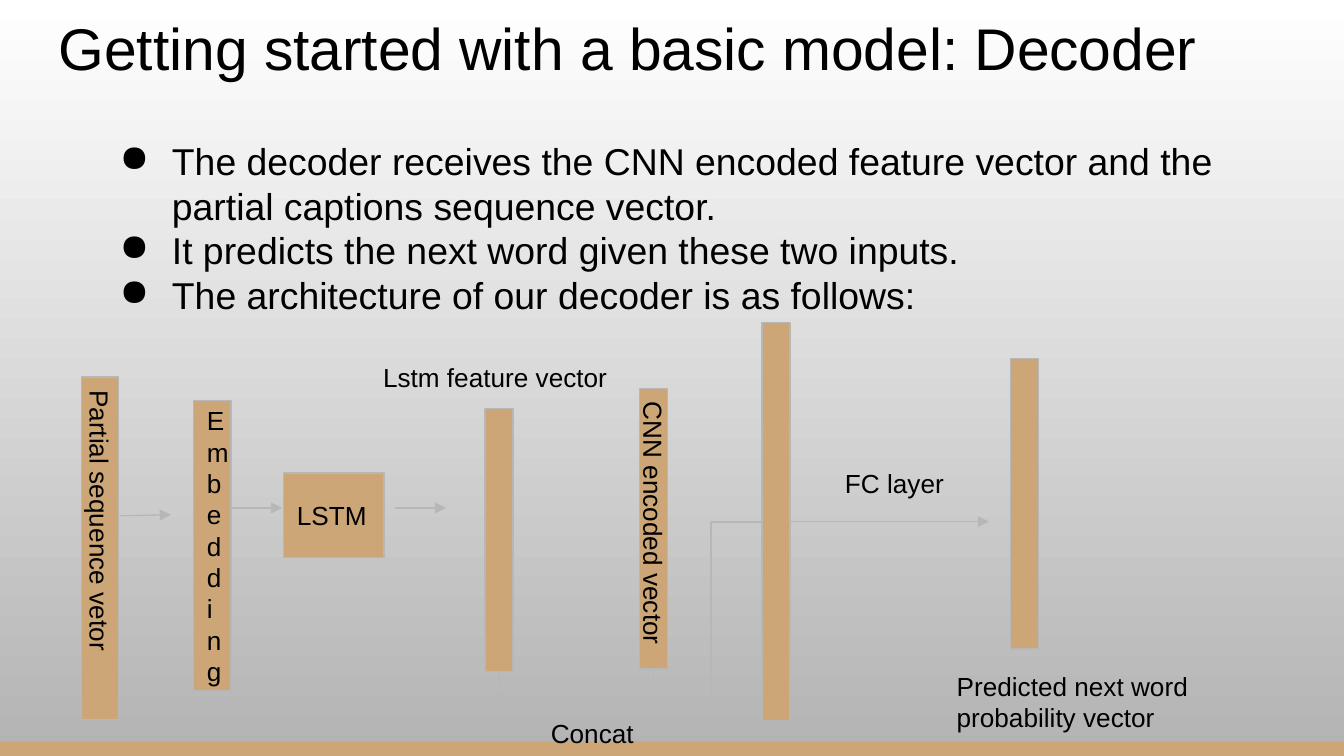
from dataclasses import dataclass
from typing import Optional

from lxml.etree import SubElement
from pptx import Presentation
from pptx.dml.color import RGBColor
from pptx.enum.shapes import MSO_CONNECTOR, MSO_SHAPE
from pptx.enum.text import MSO_ANCHOR, PP_ALIGN
from pptx.oxml.ns import qn
from pptx.util import Cm, Pt

TAN = "CCA677"
GRAY = "B7B7B7"
BLACK = "000000"
BODY_SIZE = 14
BAR_WIDTH = 0.53


@dataclass
class Block:
    left: float
    top: float
    width: float
    height: float
    text: str = ""
    rotation: int = 0
    outlined: bool = True


@dataclass
class Label:
    left: float
    top: float
    width: float
    height: float
    text: str
    size: float = BODY_SIZE
    anchor: MSO_ANCHOR = MSO_ANCHOR.TOP
    bulleted: bool = False


@dataclass
class Arrow:
    start: tuple[float, float]
    end: tuple[float, float]
    source: Optional[str] = None
    side: int = 0


FOOTER = Block(0, 14.02, 25.4, 0.27, outlined=False)
BLOCKS = {
    "encoded": Block(9.7, 9.73, 5.31, BAR_WIDTH, "CNN encoded vector", 90),
    "lstm": Block(5.36, 8.94, 1.9, 1.6, "LSTM"),
    "sequence": Block(-1.35, 10.01, 6.48, 0.71, "Partial sequence vetor", 90),
    "embedding": Block(3.66, 7.57, 0.71, 5.49, "Embedding"),
    "feature": Block(9.17, 7.72, BAR_WIDTH, 4.98),
    "concatenated": Block(14.4, 6.1, BAR_WIDTH, 7.52),
    "predicted": Block(19.1, 6.78, BAR_WIDTH, 5.49),
}
ARROWS = [
    Arrow((2.26, 9.75), (3.23, 9.73)),
    Arrow((4.37, 9.6), (5.33, 9.6)),
    Arrow((7.47, 9.6), (8.43, 9.6)),
    Arrow((9.43, 12.7), (9.5, 13.31), "feature", 2),
    Arrow((9.53, 13.36), (13.46, 13.31)),
    Arrow((12.35, 12.65), (12.35, 13.36), "encoded", 3),
    Arrow((14.93, 9.86), (18.69, 9.86), "concatenated", 3),
]
BULLETS = "\n".join([
    "The decoder receives the CNN encoded feature vector and the partial captions sequence vector.",
    "It predicts the next word given these two inputs.",
    "The architecture of our decoder is as follows:",
])
LABELS = [
    Label(0.86, 0.2, 23.67, 1.6, "Getting started with a basic model: Decoder", 31.5, MSO_ANCHOR.BOTTOM),
    Label(10.16, 13.31, 2.46, 1.12, "Concat"),
    Label(6.99, 6.58, 4.8, 1.12, "Lstm feature vector"),
    Label(15.72, 8.59, 2.62, 1.12, "FC layer"),
    Label(17.83, 12.42, 6.25, 2.31, "Predicted next word probability vector"),
    Label(1.73, 2.36, 22.99, 3.07, BULLETS, 20, bulleted=True),
]


def color(value: str) -> RGBColor:
    return RGBColor.from_string(value)


def paint_background(slide) -> None:
    fill = slide.background.fill
    fill.gradient()
    fill.gradient_angle = 270
    for stop, value in zip(fill.gradient_stops, ("FFFFFF", "B3B3B3")):
        stop.color.rgb = color(value)


def add_bullet(paragraph) -> None:
    properties = paragraph._p.get_or_add_pPr()
    properties.set("marL", str(Cm(1.27)))
    properties.set("indent", str(Cm(-0.99)))
    bullet_color = SubElement(properties, qn("a:buClr"))
    SubElement(bullet_color, qn("a:srgbClr")).set("val", BLACK)
    SubElement(properties, qn("a:buChar")).set("char", "●")


def write_text(shape, text: str, size: float, anchor: MSO_ANCHOR, bulleted: bool = False) -> None:
    text_frame = shape.text_frame
    text_frame.text = text
    text_frame.word_wrap = True
    text_frame.vertical_anchor = anchor
    text_frame.margin_left = text_frame.margin_right = Cm(0.25)
    text_frame.margin_top = text_frame.margin_bottom = Cm(0.25)
    for paragraph in text_frame.paragraphs:
        paragraph.alignment = PP_ALIGN.LEFT
        if bulleted:
            add_bullet(paragraph)
        for run in paragraph.runs:
            run.font.name = "Arial"
            run.font.size = Pt(size)
            run.font.color.rgb = color(BLACK)


def draw_block(slide, block: Block):
    shape = slide.shapes.add_shape(
        MSO_SHAPE.RECTANGLE, Cm(block.left), Cm(block.top), Cm(block.width), Cm(block.height)
    )
    shape.shadow.inherit = False
    shape.rotation = block.rotation
    shape.fill.solid()
    shape.fill.fore_color.rgb = color(TAN)
    if block.outlined:
        shape.line.color.rgb = color(GRAY)
        shape.line.width = Pt(0.75)
    else:
        shape.line.fill.background()
    if block.text:
        write_text(shape, block.text, BODY_SIZE, MSO_ANCHOR.MIDDLE)
    return shape


def draw_label(slide, label: Label) -> None:
    shape = slide.shapes.add_textbox(
        Cm(label.left), Cm(label.top), Cm(label.width), Cm(label.height)
    )
    write_text(shape, label.text, label.size, label.anchor, label.bulleted)


def draw_connector(slide, kind: MSO_CONNECTOR, start: tuple[float, float], end: tuple[float, float]):
    connector = slide.shapes.add_connector(kind, *map(Cm, start), *map(Cm, end))
    connector.line.color.rgb = color(GRAY)
    connector.line.width = Pt(0.75)
    SubElement(connector._element.spPr, qn("a:effectLst"))
    return connector


def draw_arrow(slide, arrow: Arrow, shapes: dict) -> None:
    connector = draw_connector(slide, MSO_CONNECTOR.STRAIGHT, arrow.start, arrow.end)
    SubElement(connector.line._get_or_add_ln(), qn("a:tailEnd")).set("type", "triangle")
    if arrow.source:
        connector.begin_connect(shapes[arrow.source], arrow.side)
        connector.begin_x, connector.begin_y = map(Cm, arrow.start)


def draw_elbow(slide) -> None:
    connector = draw_connector(slide, MSO_CONNECTOR.ELBOW, (12.17, 11.13), (15.68, 12.11))
    properties = connector._element.spPr
    properties.find(qn("a:xfrm")).set("rot", str(270 * 60000))
    properties.find(qn("a:prstGeom")).set("prst", "bentConnector2")


def main() -> None:
    presentation = Presentation()
    presentation.slide_width = Cm(25.4)
    presentation.slide_height = Cm(14.29)
    slide = presentation.slides.add_slide(presentation.slide_layouts[6])
    paint_background(slide)
    draw_block(slide, FOOTER)
    shapes = {name: draw_block(slide, block) for name, block in BLOCKS.items()}
    for arrow in ARROWS:
        draw_arrow(slide, arrow, shapes)
    draw_elbow(slide)
    for label in LABELS:
        draw_label(slide, label)
    presentation.save("out.pptx")


if __name__ == "__main__":
    main()
